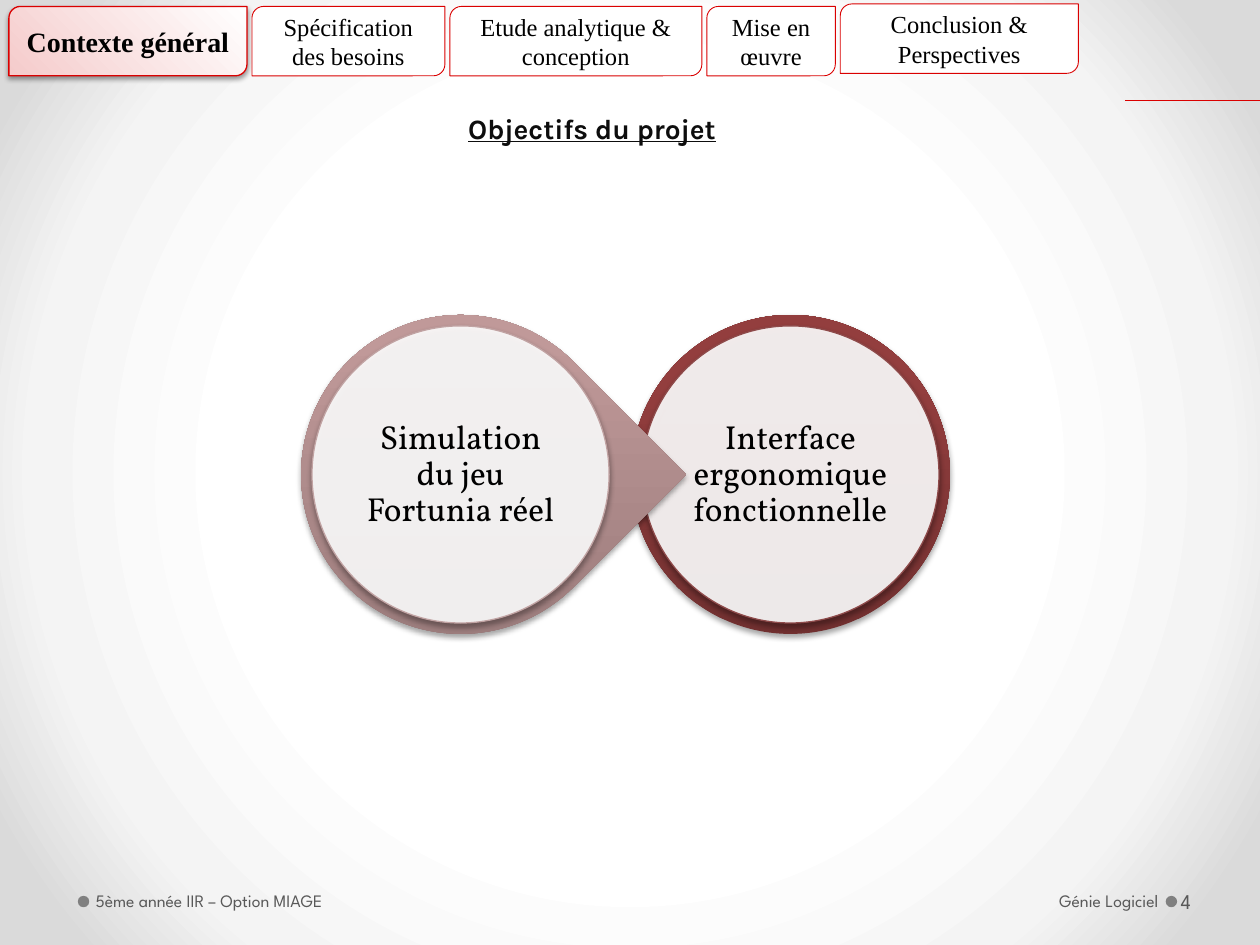
from lxml.etree import SubElement as Sub
from pptx import Presentation
from pptx.dml.color import RGBColor as Rgb
from pptx.enum.shapes import MSO_CONNECTOR as Link, MSO_SHAPE as Kind
from pptx.enum.text import MSO_ANCHOR as Anchor, MSO_UNDERLINE as Under, PP_ALIGN as Align
from pptx.oxml.ns import qn
from pptx.util import Cm, Pt

HUES = {
    "red": "DA0000", "pink": "F5CBCB", "white": "FFFFFF", "black": "000000",
    "ink": "0D0D0D", "gray": "595959", "dot": "808080",
    "pale": "F4F4F4", "edge": "DADADA",
    "rose": "C1A3A3", "wine": "8E4A4A",
}
ROSE = [(0, "947676"), (80, "C09999"), (100, "C19999")]
WINE = [(0, "713030"), (80, "933E3E"), (100, "953D3D")]
SLIM = {"margin_left": Cm(0.08), "margin_right": Cm(0.13)}
TIGHT = {f"margin_{side}": Cm(0.08) for side in ("left", "right", "top", "bottom")}
SERIF = {"name": "Times New Roman", "size": Pt(14)}
FOOT = {"name": "League Spartan", "size": Pt(10)}


def apply(obj, vals):
    """Set each attribute of an object from a dict."""
    for key, val in vals.items():
        setattr(obj, key, val)


def hue(name):
    """Return a named colour."""
    return Rgb.from_string(HUES[name])


def blend(old, stops, angle=None):
    """Replace a fill element with a linear or a centred gradient."""
    grad = old.makeelement(qn("a:gradFill"), {"rotWithShape": "0"})
    row = Sub(grad, qn("a:gsLst"))
    for pos, code in stops:
        stop = Sub(row, qn("a:gs"), pos=str(pos * 1000))
        Sub(stop, qn("a:srgbClr"), val=code)
    if angle is None:
        way = Sub(grad, qn("a:path"), {"path": "circle"})
        Sub(way, qn("a:fillToRect"), {side: "50000" for side in "ltrb"})
    else:
        Sub(grad, qn("a:lin"), ang=str(angle * 60000), scaled="0")
    old.getparent().replace(old, grad)


def shade(shape, alpha, dist):
    """Give a shape a soft shadow below it."""
    list_ = shape.element.spPr.find(qn("a:effectLst"))
    drop = Sub(list_, qn("a:outerShdw"), blurRad=str(Pt(3.1)), dist=str(Pt(dist)),
               dir="5400000", rotWithShape="0")
    tone = Sub(drop, qn("a:srgbClr"), val=HUES["black"])
    Sub(tone, qn("a:alpha"), val=str(alpha * 1000))


def draw(slide, kind, box, fill="white", line=None, width=0.5):
    """Add a flat preset shape."""
    shape = slide.shapes.add_shape(kind, *map(Cm, box))
    shape.shadow.inherit = False
    shape.fill.solid()
    shape.fill.fore_color.rgb = hue(fill)
    if line:
        shape.line.color.rgb = hue(line)
        shape.line.width = Pt(width)
    else:
        shape.line.fill.background()
    return shape


def write(shape, text, font, color="black", para=None, frame=None):
    """Put one formatted paragraph in a shape."""
    body = shape.text_frame
    apply(body, {"word_wrap": True, "vertical_anchor": Anchor.MIDDLE, **(frame or {})})
    part = body.paragraphs[0]
    apply(part, para or {})
    run = part.add_run()
    run.text = text
    apply(run.font, font)
    run.font.color.rgb = hue(color)


def label(slide, box, text, font, **opts):
    """Add a text box."""
    write(slide.shapes.add_textbox(*map(Cm, box)), text, font, **opts)


def tabs(slide, left, top):
    """Draw the row of section tabs with the first one active."""
    items = [("Contexte général", 4.8, 0), ("Spécification des besoins", 3.89, 0),
             ("Etude analytique & conception", 5.08, 0), ("Mise en œuvre", 2.59, 0),
             ("Conclusion & Perspectives", 4.8, 0.05)]
    for num, (text, wide, rise) in enumerate(items):
        live = num == 0
        tab = draw(slide, Kind.ROUND_2_DIAG_RECTANGLE, (left, top - rise, wide, 1.4),
                   line="red", width=0.75 if live else 0.5)
        font = SERIF
        if live:
            blend(tab.element.spPr.find(qn("a:solidFill")),
                  [(0, HUES["pink"]), (100, HUES["white"])], 315)
            shade(tab, 38, 1.6)
            font = {**SERIF, "size": Pt(16), "bold": True}
        write(tab, text, font, para={"alignment": Align.CENTER})
        left += wide + 0.1


def disc(slide, left, top, size, kind, stops, line, text):
    """Draw a ringed disc with its text."""
    ring = draw(slide, kind, (left, top, size, size))
    blend(ring.element.spPr.find(qn("a:solidFill")), stops, 270)
    if kind == Kind.TEAR:
        ring.rotation = 45
        ring.adjustments[0] = 1
    gap = 0.22
    core = draw(slide, Kind.OVAL, (left + gap, top + gap, size - 2 * gap, size - 2 * gap),
                line=line, width=0.75)
    tone = core.element.spPr.find(qn("a:solidFill"))[0]
    Sub(tone, qn("a:alpha"), val="90000")
    for shape in (ring, core):
        shade(shape, 35, 1.8)
    gap = 1.07
    label(slide, (left + gap, top + gap, size - 2 * gap, size - 2 * gap), text,
          {"name": "Vollkorn", "size": Pt(19)}, frame=TIGHT,
          para={"alignment": Align.CENTER, "line_spacing": 0.9})


def goals(slide, left, top, size):
    """Draw the two linked goals, the pointed one in front."""
    disc(slide, left + 6.65, top, size, Kind.OVAL, WINE, "wine",
         "Interface ergonomique fonctionnelle")
    disc(slide, left, top, size, Kind.TEAR, ROSE, "rose", "Simulation du jeu Fortunia réel")


def head(slide, left, top):
    """Write the title and draw the rule at the right edge."""
    label(slide, (left, top, 5.51, 0.94), "Objectifs du projet",
          {"name": "Karla", "size": Pt(16), "bold": True, "underline": Under.SINGLE_LINE},
          color="ink", frame={"word_wrap": False, "vertical_anchor": Anchor.TOP})
    rule = slide.shapes.add_connector(Link.STRAIGHT, Cm(22.68), Cm(top - 0.11),
                                      Cm(25.4), Cm(top - 0.11))
    rule.line.color.rgb = hue("red")
    rule.line.width = Pt(0.75)
    Sub(rule.element.spPr, qn("a:effectLst"))


def foot(slide, left, top):
    """Draw the footer dots, texts and page number."""
    for shift in (0, 21.93):
        draw(slide, Kind.OVAL, (left + shift, top + 0.82, 0.23, 0.23), "dot")
    label(slide, (left + 0.28, top, 9.73, 1.81), "5ème année IIR – Option MIAGE",
          FOOT, color="gray", frame=SLIM)
    label(slide, (left + 18.93, top + 0.57, 3.1, 0.69), "Génie Logiciel", FOOT, color="gray",
          para={"alignment": Align.RIGHT, "space_before": Pt(2)},
          frame={"vertical_anchor": Anchor.TOP})
    label(slide, (left + 22.15, top + 0.41, 1.55, 1.02), "4", {**FOOT, "size": Pt(12)},
          color="gray", frame=SLIM)


def main():
    """Build and save the slide."""
    deck = Presentation()
    apply(deck, {"slide_width": Cm(25.4), "slide_height": Cm(19.05)})
    slide = deck.slides.add_slide(deck.slide_layouts[6])
    slide.background.fill.solid()
    blend(slide.element.find(".//" + qn("p:bgPr"))[0],
          [(50, HUES["white"]), (76, HUES["pale"]), (92, HUES["edge"])])
    head(slide, 9.19, 2.13)
    tabs(slide, 0.18, 0.13)
    foot(slide, 1.57, 17.24)
    goals(slide, 6.07, 6.35, 6.43)
    deck.save("out.pptx")


if __name__ == "__main__":
    main()
